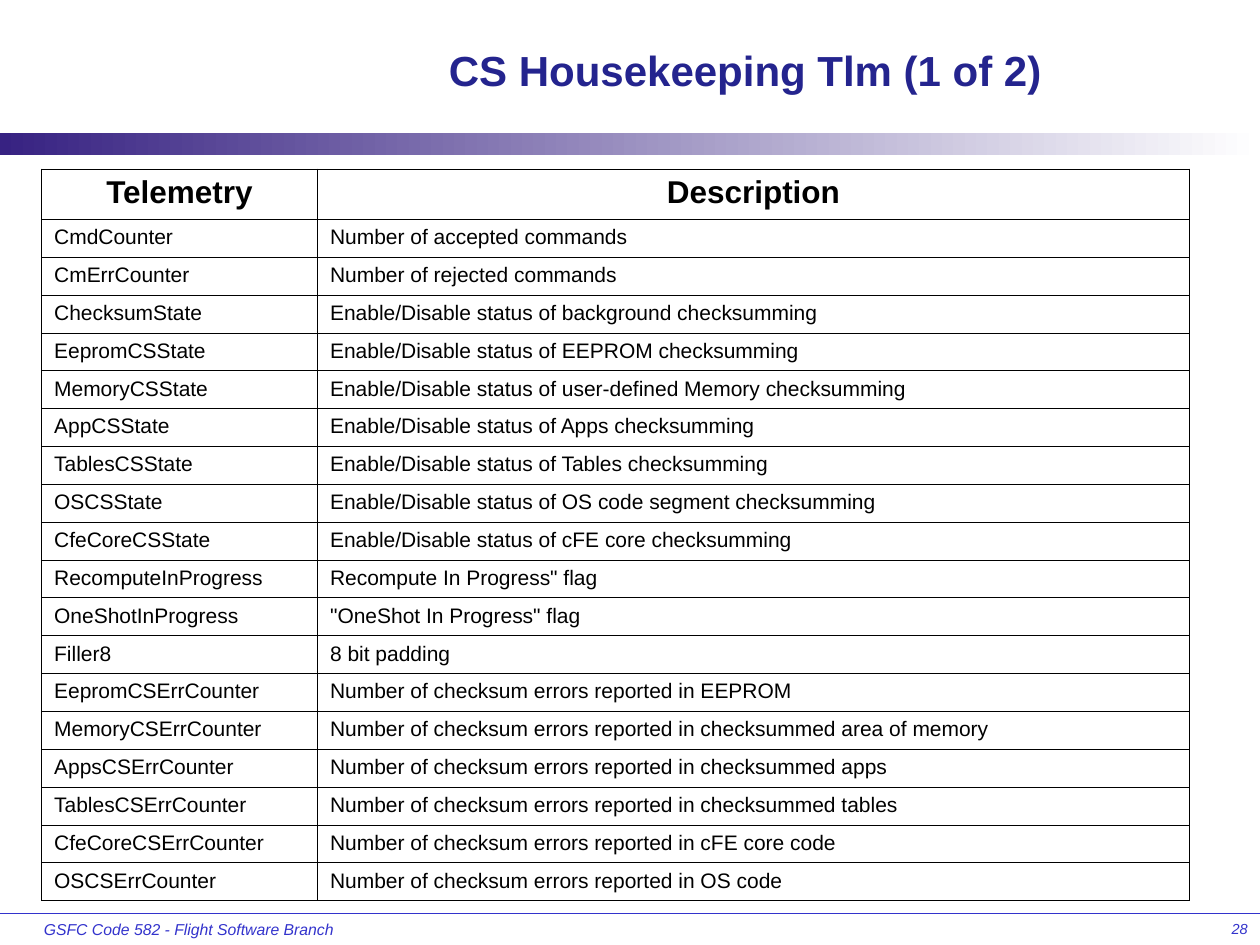
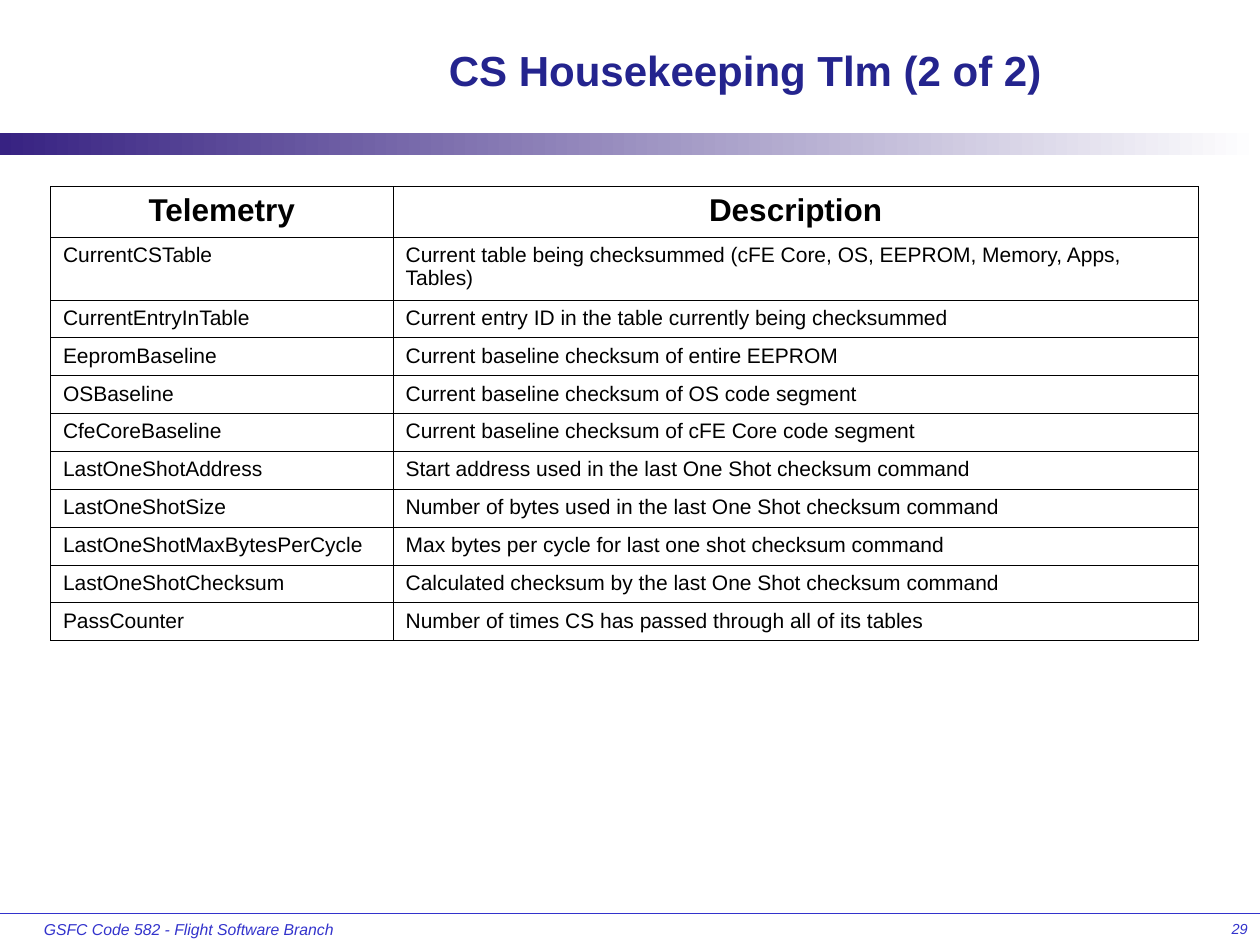
from dataclasses import dataclass

from lxml import etree
from pptx import Presentation
from pptx.dml.color import RGBColor
from pptx.enum.shapes import MSO_CONNECTOR, MSO_SHAPE
from pptx.enum.text import MSO_ANCHOR, PP_ALIGN
from pptx.oxml.ns import qn
from pptx.util import Inches, Pt

LEFT, CENTER, RIGHT = PP_ALIGN.LEFT, PP_ALIGN.CENTER, PP_ALIGN.RIGHT
TOP, MIDDLE = MSO_ANCHOR.TOP, MSO_ANCHOR.MIDDLE
STRAIGHT = MSO_CONNECTOR.STRAIGHT
RECTANGLE = MSO_SHAPE.RECTANGLE


@dataclass(frozen=True)
class Theme:
    font: str = "Arial"
    title_color: str = "24248E"
    footer_color: str = "3333CC"
    band_start: str = "372282"
    band_end: str = "FFFFFF"
    table_color: str = "000000"
    title_size: float = 24
    header_size: float = 18
    body_size: float = 12
    footer_size: float = 9
    number_size: float = 8.3
    footer_line: float = 0.75
    cell_line: float = 0.45


THEME = Theme()
PAGE_WIDTH, PAGE_HEIGHT = 10, 7.5
FOOTER_TOP = 7.25
HEADER_HEIGHT, LINE_ROW_HEIGHT, WRAPPED_ROW_HEIGHT = 0.4, 0.3, 0.5
FOOTER = "GSFC Code 582 - Flight Software Branch"
COLUMN_HEADS = ("Telemetry", "Description")

COUNTERS_AND_STATES = [
    ("CmdCounter", "Number of accepted commands"),
    ("CmErrCounter", "Number of rejected commands"),
    ("ChecksumState", "Enable/Disable status of background checksumming"),
    ("EepromCSState", "Enable/Disable status of EEPROM checksumming"),
    ("MemoryCSState", "Enable/Disable status of user-defined Memory checksumming"),
    ("AppCSState", "Enable/Disable status of Apps checksumming"),
    ("TablesCSState", "Enable/Disable status of Tables checksumming"),
    ("OSCSState", "Enable/Disable status of OS code segment checksumming"),
    ("CfeCoreCSState", "Enable/Disable status of cFE core checksumming"),
    ("RecomputeInProgress", 'Recompute In Progress" flag'),
    ("OneShotInProgress", '"OneShot In Progress" flag'),
    ("Filler8", "8 bit padding"),
    ("EepromCSErrCounter", "Number of checksum errors reported in EEPROM"),
    ("MemoryCSErrCounter",
     "Number of checksum errors reported in checksummed area of memory"),
    ("AppsCSErrCounter", "Number of checksum errors reported in checksummed apps"),
    ("TablesCSErrCounter", "Number of checksum errors reported in checksummed tables"),
    ("CfeCoreCSErrCounter", "Number of checksum errors reported in cFE core code"),
    ("OSCSErrCounter", "Number of checksum errors reported in OS code"),
]

BASELINES_AND_ONE_SHOT = [
    ("CurrentCSTable",
     "Current table being checksummed (cFE Core, OS, EEPROM, Memory, Apps, Tables)"),
    ("CurrentEntryInTable", "Current entry ID in the table currently being checksummed"),
    ("EepromBaseline", "Current baseline checksum of entire EEPROM"),
    ("OSBaseline", "Current baseline checksum of OS code segment"),
    ("CfeCoreBaseline", "Current baseline checksum of cFE Core code segment"),
    ("LastOneShotAddress", "Start address used in the last One Shot checksum command"),
    ("LastOneShotSize", "Number of bytes used in the last One Shot checksum command"),
    ("LastOneShotMaxBytesPerCycle",
     "Max bytes per cycle for last one shot checksum command"),
    ("LastOneShotChecksum", "Calculated checksum by the last One Shot checksum command"),
    ("PassCounter", "Number of times CS has passed through all of its tables"),
]


def color(value):
    return RGBColor.from_string(value)


def write(frame, text, size, ink, align=LEFT, bold=False, italic=False):
    frame.text = text
    para = frame.paragraphs[0]
    para.alignment = align
    font = para.runs[0].font
    font.name = THEME.font
    font.size = Pt(size)
    font.bold = bold
    font.italic = italic
    font.color.rgb = color(ink)


def add_text(page, area, text, size, ink, anchor=TOP, wrap=True, **style):
    box = page.shapes.add_textbox(*map(Inches, area))
    frame = box.text_frame
    frame.word_wrap = wrap
    frame.vertical_anchor = anchor
    write(frame, text, size, ink, **style)


def add_band(page):
    band = page.shapes.add_shape(
        RECTANGLE, 0, Inches(1.06), Inches(PAGE_WIDTH), Inches(0.17))
    band.shadow.inherit = False
    band.line.fill.background()
    band.fill.gradient()
    band.fill.gradient_angle = 0
    for stop, shade in zip(band.fill.gradient_stops, (THEME.band_start, THEME.band_end)):
        stop.color.rgb = color(shade)


def add_footer(page, number):
    rule = page.shapes.add_connector(
        STRAIGHT, 0, Inches(FOOTER_TOP), Inches(PAGE_WIDTH), Inches(FOOTER_TOP))
    rule.line.color.rgb = color(THEME.footer_color)
    rule.line.width = Pt(THEME.footer_line)
    etree.SubElement(rule._element.spPr, qn("a:effectLst"))
    add_text(page, (0.25, FOOTER_TOP, 2.5, 0.25), FOOTER, THEME.footer_size,
             THEME.footer_color, wrap=False, italic=True)
    add_text(page, (7.92, FOOTER_TOP, 2.08, 0.25), str(number), THEME.number_size,
             THEME.footer_color, align=RIGHT, italic=True)


def add_page(deck, title, number):
    """Add a slide with the shared band, footer and title."""
    page = deck.slides.add_slide(deck.slide_layouts[6])
    add_footer(page, number)
    add_band(page)
    add_text(page, (2.08, 0.17, 7.67, 0.76), title, THEME.title_size,
             THEME.title_color, anchor=MIDDLE, align=CENTER, bold=True)
    return page


def outline_cell(cell):
    properties = cell._tc.get_or_add_tcPr()
    for side in ("lnL", "lnR", "lnT", "lnB"):
        border = etree.SubElement(properties, qn(f"a:{side}"), w=str(Pt(THEME.cell_line)))
        fill = etree.SubElement(border, qn("a:solidFill"))
        etree.SubElement(fill, qn("a:srgbClr"), val=THEME.table_color)


def add_telemetry_table(page, left, top, column_widths, entries, wrapped_rows=()):
    """Draw the entries under the column heads; wrapped_rows hold two lines."""
    heights = [HEADER_HEIGHT] + [
        WRAPPED_ROW_HEIGHT if name in wrapped_rows else LINE_ROW_HEIGHT
        for name, _ in entries]
    area = (left, top, sum(column_widths), sum(heights))
    table = page.shapes.add_table(
        len(heights), len(column_widths), *map(Inches, area)).table
    table.first_row = False
    table.horz_banding = False
    for column, width in zip(table.columns, column_widths):
        column.width = Inches(width)
    for index, (row, height, texts) in enumerate(
            zip(table.rows, heights, [COLUMN_HEADS, *entries])):
        row.height = Inches(height)
        is_header = index == 0
        for cell, text in zip(row.cells, texts):
            outline_cell(cell)
            cell.fill.background()
            write(cell.text_frame, text,
                  THEME.header_size if is_header else THEME.body_size,
                  THEME.table_color, align=CENTER if is_header else LEFT,
                  bold=is_header)


def main():
    deck = Presentation()
    deck.slide_width = Inches(PAGE_WIDTH)
    deck.slide_height = Inches(PAGE_HEIGHT)

    page = add_page(deck, "CS Housekeeping Tlm (1 of 2)", 28)
    add_telemetry_table(page, 0.33, 1.34, (2.19, 6.92), COUNTERS_AND_STATES)

    page = add_page(deck, "CS Housekeeping Tlm (2 of 2)", 29)
    add_telemetry_table(page, 0.4, 1.48, (2.72, 6.39), BASELINES_AND_ONE_SHOT,
                        wrapped_rows=("CurrentCSTable",))

    deck.save("out.pptx")


if __name__ == "__main__":
    main()
